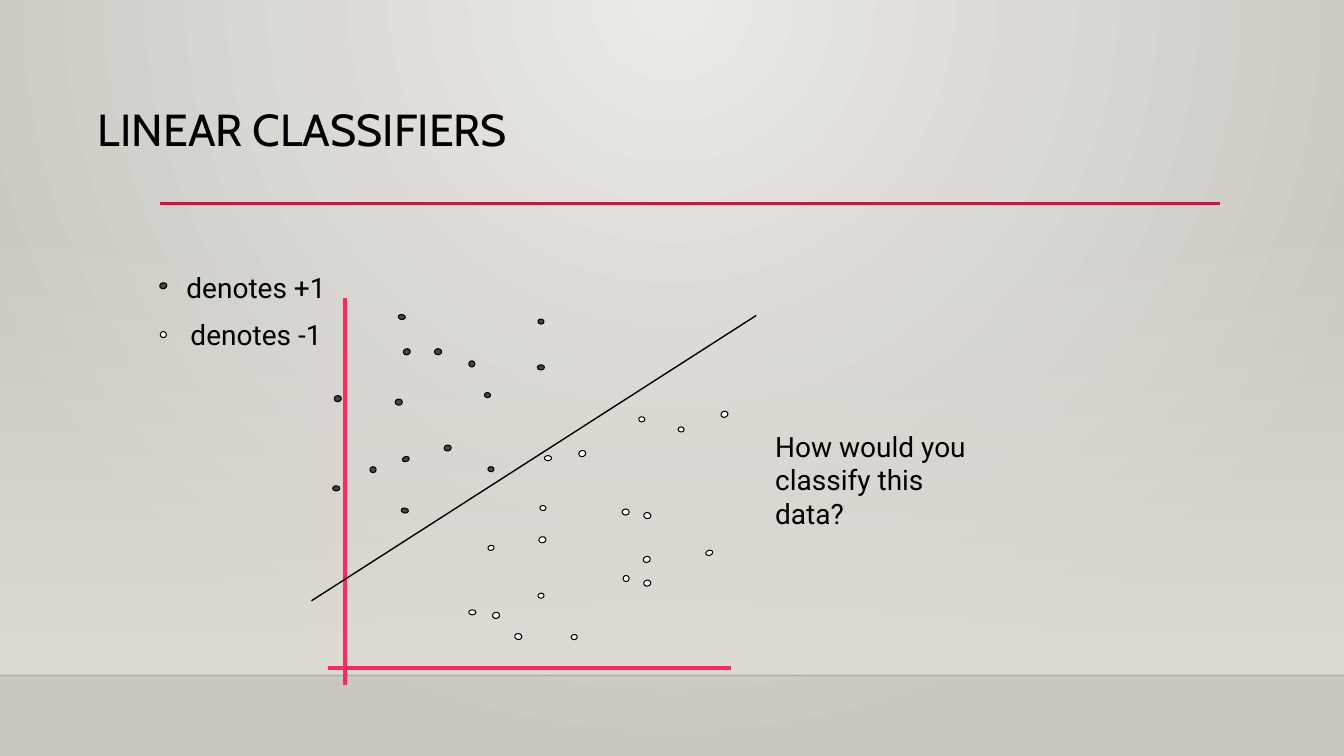
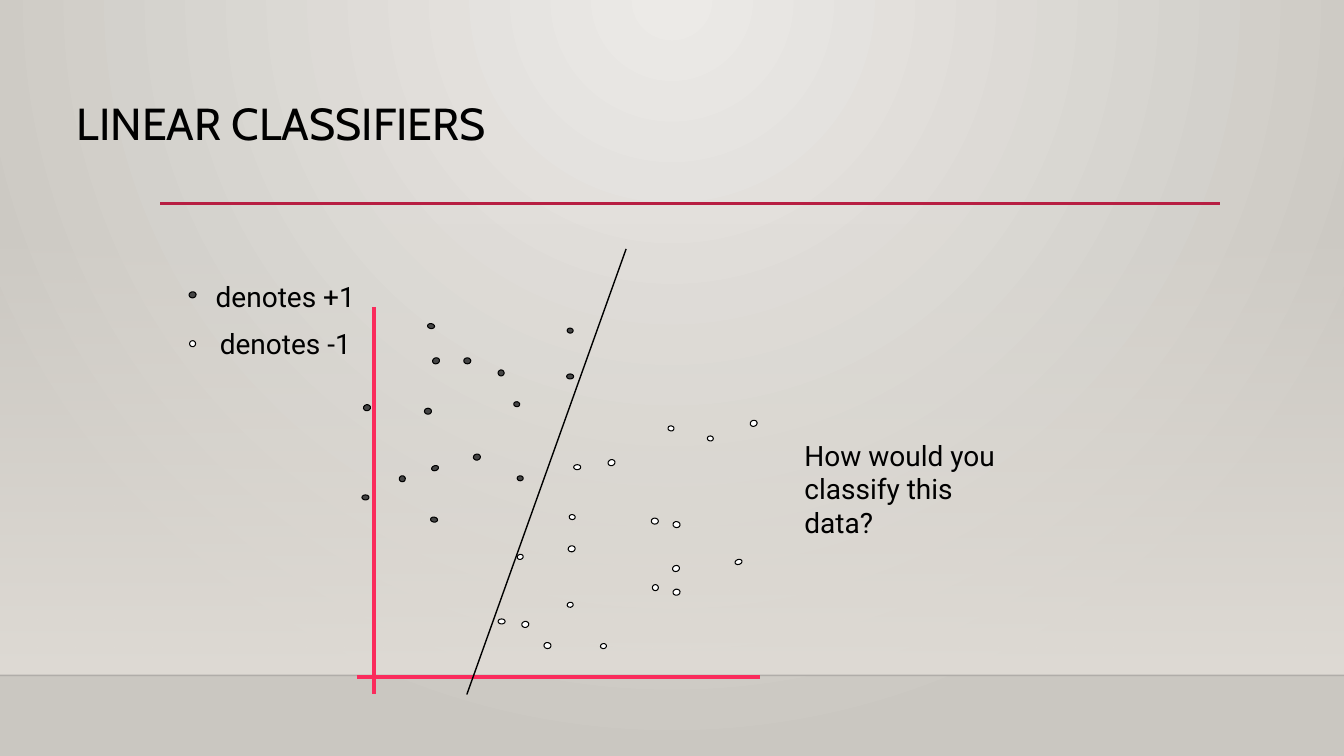
from dataclasses import dataclass

from lxml.etree import SubElement
from pptx import Presentation
from pptx.dml.color import RGBColor
from pptx.enum.shapes import MSO_CONNECTOR, MSO_SHAPE
from pptx.enum.text import MSO_ANCHOR, MSO_AUTO_SIZE, PP_ALIGN
from pptx.oxml.ns import qn
from pptx.util import Emu, Pt

# Scale: 100 px to the inch
EMU_PER_PX = 9144
PAGE_WIDTH, PAGE_HEIGHT = 1333, 750
FLOOR = 670

# Shared style
TITLE_FONT, BODY_FONT = "Cabin", "Roboto"
BLACK, WHITE, DARK_GREY = "000000", "FFFFFF", "454545"
AXIS_PINK, RULE_RED, FLOOR_LINE = "FA2B5C", "B71E42", "000001"
GLOW, EDGE, BAND = "ECEAE7", "CAC7C1", "DFDBD5"


@dataclass(frozen=True)
class Dot:
    left: int
    top: int
    width: int
    height: int
    tilt: float = 0


@dataclass(frozen=True)
class Segment:
    start: tuple[int, int]
    end: tuple[int, int]
    color: str
    weight: float
    opacity: int = 100

    def moved(self, across: int, down: int) -> "Segment":
        (x1, y1), (x2, y2) = self.start, self.end
        return Segment((x1 + across, y1 + down), (x2 + across, y2 + down),
                       self.color, self.weight, self.opacity)


@dataclass(frozen=True)
class Stop:
    position: int
    color: str
    opacity: int = 100


@dataclass(frozen=True)
class ClassifierPage:
    title_at: tuple[int, int]
    plot_shift: tuple[int, int]
    boundary: Segment


# Plot data: each class starts with its legend marker
TILT_LEFT, TILT_DOWN, TILT_UP = 341.4, 98.3, 79.6
POSITIVE_DOTS = [
    Dot(159, 280, 6, 7, TILT_UP),
    Dot(330, 482, 7, 5), Dot(533, 362, 7, 5), Dot(431, 346, 7, 6),
    Dot(484, 463, 6, 5), Dot(392, 396, 7, 6),
    Dot(400, 346, 7, 6, TILT_LEFT), Dot(399, 453, 7, 5, TILT_LEFT),
    Dot(481, 389, 5, 6, TILT_DOWN), Dot(399, 503, 5, 7, TILT_DOWN),
    Dot(534, 316, 5, 6, TILT_DOWN), Dot(396, 311, 5, 7, TILT_DOWN),
    Dot(441, 441, 6, 7, TILT_UP), Dot(367, 463, 6, 6, TILT_UP),
    Dot(465, 358, 6, 6, TILT_UP), Dot(332, 392, 6, 7, TILT_UP),
]
NEGATIVE_DOTS = [
    Dot(159, 329, 6, 6, TILT_DOWN),
    Dot(465, 605, 7, 5), Dot(540, 452, 7, 5), Dot(617, 505, 7, 6),
    Dot(484, 541, 6, 5, TILT_LEFT), Dot(715, 408, 7, 6, TILT_LEFT),
    Dot(638, 552, 7, 6, TILT_LEFT), Dot(574, 447, 7, 6, TILT_LEFT),
    Dot(700, 546, 7, 5, TILT_LEFT),
    Dot(511, 628, 6, 7, TILT_DOWN), Dot(639, 508, 6, 7, TILT_DOWN),
    Dot(536, 501, 5, 6, TILT_DOWN), Dot(673, 423, 5, 6, TILT_DOWN),
    Dot(634, 413, 5, 6, TILT_DOWN), Dot(618, 571, 6, 6, TILT_DOWN),
    Dot(567, 629, 5, 6, TILT_UP), Dot(534, 588, 5, 6, TILT_UP),
    Dot(535, 532, 6, 7, TILT_UP), Dot(489, 607, 6, 7, TILT_UP),
    Dot(639, 575, 6, 7, TILT_UP),
]
AXES = [
    Segment((342, 296), (342, 680), AXIS_PINK, 3),
    Segment((325, 663), (725, 663), AXIS_PINK, 3),
]
BACKDROP_LINES = [
    Segment((0, FLOOR), (PAGE_WIDTH, FLOOR), FLOOR_LINE, 1, opacity=20),
    Segment((159, 202), (1210, 202), RULE_RED, 2.5),
]
PAGES = [
    ClassifierPage((78, 102), (0, 0),
                   Segment((309, 596), (750, 313), BLACK, 1)),
    ClassifierPage((57, 96), (29, 9),
                   Segment((463, 689), (621, 247), BLACK, 1)),
]


def px(length: int) -> Emu:
    return Emu(length * EMU_PER_PX)


def paint(fill, color: str) -> None:
    fill.solid()
    fill.fore_color.rgb = RGBColor.from_string(color)


def set_opacity(color_element, percent: int) -> None:
    SubElement(color_element, qn("a:alpha"), val=str(percent * 1000))


def set_gradient(fill, owner, stops: list[Stop], angle: int | None = None) -> None:
    """Fill with a linear gradient, or a round one from the top centre."""
    fill.gradient()
    gradient = next(owner.iter(qn("a:gradFill")))
    for child in list(gradient):
        gradient.remove(child)
    stop_list = SubElement(gradient, qn("a:gsLst"))
    for stop in stops:
        entry = SubElement(stop_list, qn("a:gs"), pos=str(stop.position * 1000))
        color = SubElement(entry, qn("a:srgbClr"), val=stop.color)
        if stop.opacity < 100:
            set_opacity(color, stop.opacity)
    if angle is None:
        circle = SubElement(gradient, qn("a:path"), {"path": "circle"})
        SubElement(circle, qn("a:fillToRect"),
                   l="43000", t="0", r="43000", b="100000")
    else:
        SubElement(gradient, qn("a:lin"), ang=str(angle * 60000), scaled="0")


def write_text(frame, *lines: str, font: str = BODY_FONT, size: int = 20,
               color: str = BLACK, align=PP_ALIGN.LEFT, space_before: int = 10,
               line_spacing: float = 1.0, auto_size=MSO_AUTO_SIZE.SHAPE_TO_FIT_TEXT) -> None:
    frame.word_wrap = True
    frame.auto_size = auto_size
    frame.vertical_anchor = MSO_ANCHOR.TOP
    for index, line in enumerate(lines):
        para = frame.paragraphs[0] if index == 0 else frame.add_paragraph()
        para.alignment = align
        para.space_before = Pt(space_before)
        para.line_spacing = line_spacing
        span = para.add_run()
        span.text = line
        span.font.name = font
        span.font.size = Pt(size)
        span.font.color.rgb = RGBColor.from_string(color)


def draw_segment(page, segment: Segment) -> None:
    line = page.shapes.add_connector(
        MSO_CONNECTOR.STRAIGHT, *map(px, segment.start + segment.end))
    paint(line.line.fill, segment.color)
    line.line.width = Pt(segment.weight)
    properties = line.element.spPr
    if segment.opacity < 100:
        set_opacity(next(properties.iter(qn("a:srgbClr"))), segment.opacity)
    SubElement(properties, qn("a:effectLst"))


def draw_dot(page, dot: Dot, color: str, shift: tuple[int, int]) -> None:
    circle = page.shapes.add_shape(
        MSO_SHAPE.OVAL, px(dot.left + shift[0]), px(dot.top + shift[1]),
        px(dot.width), px(dot.height))
    circle.rotation = dot.tilt
    circle.shadow.inherit = False
    paint(circle.fill, color)
    paint(circle.line.fill, BLACK)
    circle.line.width = Pt(0.75)


def draw_backdrop(page) -> None:
    band = page.shapes.add_shape(
        MSO_SHAPE.RECTANGLE, 0, px(221), px(PAGE_WIDTH), px(FLOOR - 221))
    band.shadow.inherit = False
    band.line.fill.background()
    set_gradient(band.fill, band.element.spPr,
                 [Stop(0, BAND, 0), Stop(100, BAND)], angle=90)
    for segment in BACKDROP_LINES:
        draw_segment(page, segment)


def place_title(page, text: str, at: tuple[int, int]) -> None:
    title = page.shapes.title
    title.left, title.top = map(px, at)
    title.width, title.height = px(508), px(75)
    title.text_frame.margin_left = px(19)
    write_text(title.text_frame, text, font=TITLE_FONT, size=32, space_before=0,
               line_spacing=0.9, auto_size=MSO_AUTO_SIZE.NONE)


def add_text(page, left: int, top: int, width: int, height: int,
             *lines: str, **text_format) -> None:
    box = page.shapes.add_textbox(px(left), px(top), px(width), px(height))
    write_text(box.text_frame, *lines, **text_format)


def draw_plot(page, shift: tuple[int, int]) -> None:
    across, down = shift
    add_text(page, 150 + across, 263 + down, 208, 93,
             "denotes +1", "denotes -1", align=PP_ALIGN.CENTER)
    for axis in AXES:
        draw_segment(page, axis.moved(across, down))
    for dots, color in ((POSITIVE_DOTS, DARK_GREY), (NEGATIVE_DOTS, WHITE)):
        for dot in dots:
            draw_dot(page, dot, color, shift)
    add_text(page, 759 + across, 421 + down, 240, 77,
             "How would you classify this data?")


def main() -> None:
    deck = Presentation()
    deck.slide_width, deck.slide_height = px(PAGE_WIDTH), px(PAGE_HEIGHT)
    master = deck.slide_master
    set_gradient(master.background.fill, master.element,
                 [Stop(0, GLOW), Stop(100, EDGE)])
    title_only = deck.slide_layouts.get_by_name("Title Only")
    for content in PAGES:
        page = deck.slides.add_slide(title_only)
        draw_backdrop(page)
        place_title(page, "LINEAR CLASSIFIERS", content.title_at)
        draw_plot(page, content.plot_shift)
        draw_segment(page, content.boundary)
    deck.save("out.pptx")


if __name__ == "__main__":
    main()
